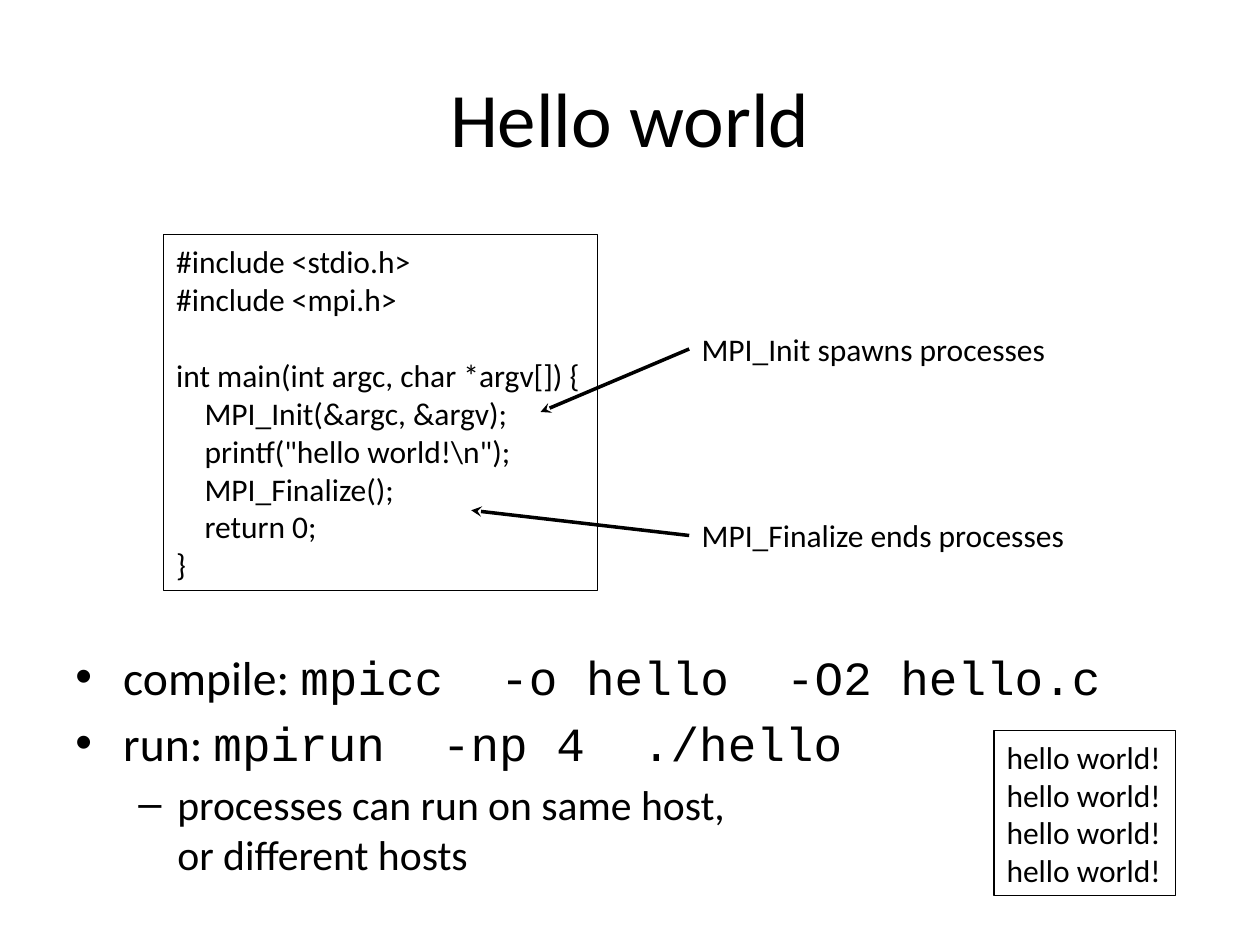
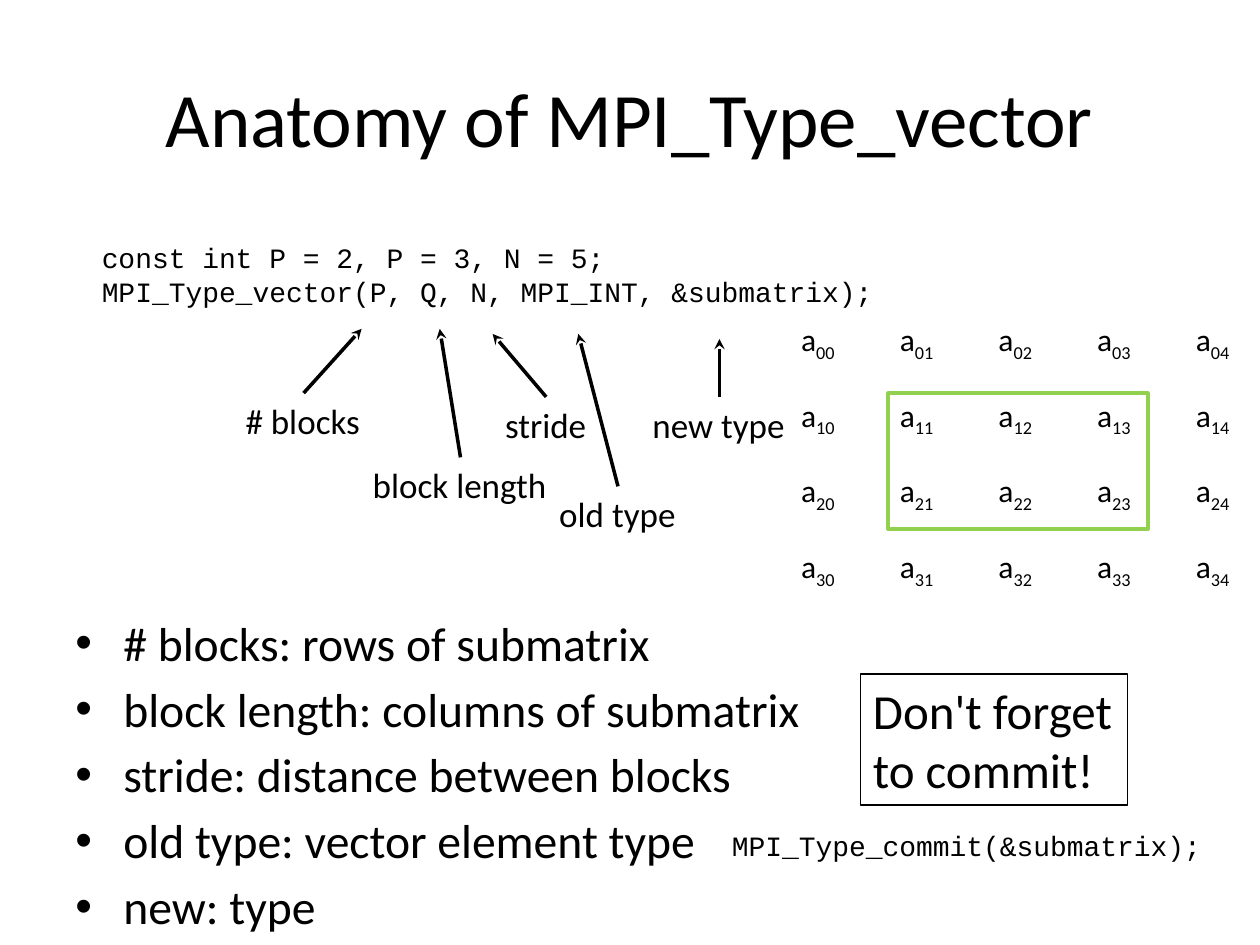
from collections import namedtuple

from lxml import etree
from pptx import Presentation
from pptx.dml.color import RGBColor
from pptx.enum.shapes import MSO_CONNECTOR, MSO_SHAPE
from pptx.enum.text import MSO_ANCHOR, MSO_AUTO_SIZE, PP_ALIGN
from pptx.oxml.ns import qn
from pptx.util import Inches, Pt

BLACK = RGBColor(0x00, 0x00, 0x00)
GREEN = RGBColor(0x92, 0xD0, 0x50)
BODY_FONT = "Calibri"
CODE_FONT = "Courier New"

STRAIGHT = MSO_CONNECTOR.STRAIGHT
RECTANGLE = MSO_SHAPE.RECTANGLE
MIDDLE = MSO_ANCHOR.MIDDLE
GROW = MSO_AUTO_SIZE.SHAPE_TO_FIT_TEXT
FIXED = MSO_AUTO_SIZE.NONE
LEFT, CENTER = PP_ALIGN.LEFT, PP_ALIGN.CENTER
TOP_SIDE, LEFT_SIDE = 0, 1

# The slide is a grid of 100 columns by 75 rows
COLUMNS, ROWS = 100, 75
SLIDE_WIDTH, SLIDE_HEIGHT = Inches(10), Inches(7.5)

Run = namedtuple("Run", "text font baseline", defaults=(None, 0))
Bullet = namedtuple("Bullet", "mark size margin hang space")
LEVELS = (Bullet("•", 27.2, 0.38, 0.38, 5), Bullet("–", 23.8, 0.81, 0.31, 4.5))


class Deck:
    """Holds the shared style and the slide being filled."""

    def __init__(self):
        self.presentation = Presentation()
        self.presentation.slide_width = SLIDE_WIDTH
        self.presentation.slide_height = SLIDE_HEIGHT
        self.slide = None

    def place(self, column, row):
        return round(SLIDE_WIDTH * column / COLUMNS), round(SLIDE_HEIGHT * row / ROWS)

    def area(self, box):
        return *self.place(*box[:2]), *self.place(*box[2:])

    def new_slide(self, title):
        blank_layout = self.presentation.slide_layouts[6]
        self.slide = self.presentation.slides.add_slide(blank_layout)
        frame = self.text((5, 3, 90, 12.5), [title], 44, wrap=True, align=CENTER,
                          auto_size=FIXED).text_frame
        frame.vertical_anchor = MIDDLE

    def add_runs(self, paragraph, content, size, font=BODY_FONT):
        runs = [Run(content)] if isinstance(content, str) else content
        for part in runs:
            for index, line in enumerate(part.text.split("\n")):
                if index:
                    paragraph.add_line_break()
                run = paragraph.add_run()
                run.text = line
                run.font.size = Pt(size)
                run.font.name = part.font or font
                run.font.color.rgb = BLACK
                if part.baseline:
                    run.font._element.set("baseline", str(part.baseline * 1000))

    def paragraphs(self, frame, contents):
        for index, content in enumerate(contents):
            paragraph = frame.add_paragraph() if index else frame.paragraphs[0]
            yield paragraph, content

    def fill_text(self, shape, contents, size, font=BODY_FONT, wrap=False,
                  align=LEFT, auto_size=GROW):
        frame = shape.text_frame
        frame.word_wrap = wrap
        frame.auto_size = auto_size
        for paragraph, content in self.paragraphs(frame, contents):
            paragraph.alignment = align
            self.add_runs(paragraph, content, size, font)
        return shape

    def text(self, box, contents, size, **style):
        shape = self.slide.shapes.add_textbox(*self.area(box))
        return self.fill_text(shape, contents, size, **style)

    def frame(self, box, color=BLACK, width=0.75):
        shape = self.slide.shapes.add_shape(RECTANGLE, *self.area(box))
        shape.shadow.inherit = False
        shape.fill.background()
        shape.line.color.rgb = color
        shape.line.width = Pt(width)
        return shape

    def framed_text(self, box, contents, size):
        return self.fill_text(self.frame(box), contents, size)

    def bullets(self, box, items):
        """Each item is a level and its content."""
        shape = self.slide.shapes.add_textbox(*self.area(box))
        frame = shape.text_frame
        frame.word_wrap = True
        for index, (paragraph, (level, content)) in enumerate(self.paragraphs(frame, items)):
            bullet = LEVELS[level]
            paragraph.level = level
            if index:
                paragraph.space_before = Pt(bullet.space)
            properties = paragraph._p.get_or_add_pPr()
            properties.set("marL", str(Inches(bullet.margin)))
            properties.set("indent", str(-Inches(bullet.hang)))
            etree.SubElement(properties, qn("a:buFont"), typeface="Arial")
            etree.SubElement(properties, qn("a:buChar"), char=bullet.mark)
            self.add_runs(paragraph, content, bullet.size)

    def callout(self, box, label, size, side, target):
        """A label with an arrow from one of its sides to a target."""
        shape = self.text(box, [label], size)
        start = self.place(*box[:2])
        arrow = self.slide.shapes.add_connector(STRAIGHT, *start, *self.place(*target))
        arrow.begin_connect(shape, side)
        arrow.line.color.rgb = BLACK
        arrow.line.width = Pt(2)
        etree.SubElement(arrow.line._get_or_add_ln(), qn("a:tailEnd"), type="stealth")
        etree.SubElement(arrow._element.spPr, qn("a:effectLst"))


def hello_world(deck):
    deck.new_slide("Hello world")
    deck.bullets((5, 50.9, 90, 18.1), [
        (0, [Run("compile: "), Run("mpicc  -o hello  -O2 hello.c", CODE_FONT)]),
        (0, [Run("run: "), Run("mpirun  -np 4  ./hello", CODE_FONT)]),
        (1, "processes can run on same host,\nor different hosts"),
    ])

    # Program, with a gap of one line above main
    program = deck.framed_text((13, 18.6, 34.4, 28.3), [
        "#include <stdio.h>",
        "#include <mpi.h>",
        "int main(int argc, char *argv[]) {",
        "    MPI_Init(&argc, &argv);",
        '    printf("hello world!\\n");',
        "    MPI_Finalize();",
        "    return 0;",
        "}",
    ], 18)
    program.text_frame.paragraphs[2].space_before = Pt(22)

    # Output of the four processes
    deck.framed_text((78.9, 58, 14.4, 13.1), ["hello world!"] * 4, 18)

    deck.callout((54.7, 25.7, 29.6, 4), "MPI_Init spawns processes", 18,
                 LEFT_SIDE, (42.9, 32.7))
    deck.callout((54.7, 40.5, 31.1, 4), "MPI_Finalize ends processes", 18,
                 LEFT_SIDE, (37.4, 40.5))


def type_vector(deck):
    deck.new_slide("Anatomy of MPI_Type_vector")
    deck.bullets((5, 48.2, 67.2, 24.8), [(0, item) for item in (
        "# blocks: rows of submatrix",
        "block length: columns of submatrix",
        "stride: distance between blocks",
        "old type: vector element type",
        "new: type",
    )])
    deck.text((7.1, 18.6, 67.3, 6.4), [
        "const int P = 2, P = 3, N = 5;",
        "MPI_Type_vector(P, Q, N, MPI_INT, &submatrix);",
    ], 16, font=CODE_FONT, wrap=True)

    # Matrix and its highlighted submatrix
    for row in range(4):
        for column in range(5):
            element = [Run("a"), Run(f"{row}{column}", baseline=-25)]
            deck.text((62.6 + 7.83 * column, 24.9 + 6 * row, 4.9, 4), [element], 18)
    deck.frame((70.5, 31.2, 20.6, 10.8), GREEN, 2)

    # Meaning of each argument
    for box, label, target in (
        ((18.5, 31.2, 11.2, 4.4), "# blocks", (28.7, 26.1)),
        ((39.1, 31.5, 8.5, 4.4), "stride", (39.1, 26.5)),
        ((28.6, 36.3, 15.9, 4.4), "block length", (34.9, 26.1)),
        ((43.4, 38.6, 11.3, 4.4), "old type", (45.9, 26.5)),
        ((50.8, 31.5, 12.6, 4.4), "new type", (57.1, 26.9)),
    ):
        deck.callout(box, label, 20, TOP_SIDE, target)

    # Reminder
    deck.framed_text((68.3, 53.5, 21.2, 10.4), ["Don't forget\nto commit!"], 28)
    deck.text((57.1, 65.3, 41.1, 3.7), ["MPI_Type_commit(&submatrix);"], 16,
              font=CODE_FONT, wrap=True)


def main():
    deck = Deck()
    hello_world(deck)
    type_vector(deck)
    deck.presentation.save("out.pptx")


if __name__ == "__main__":
    main()
